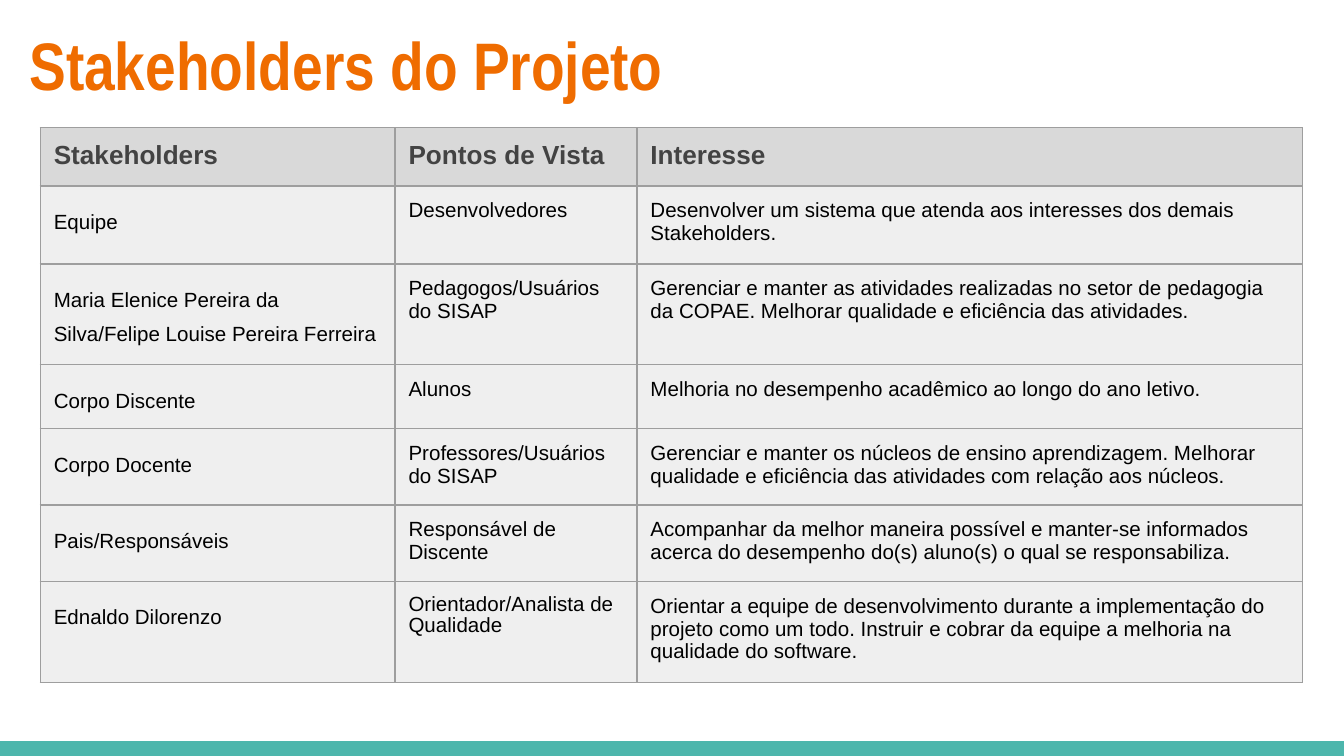
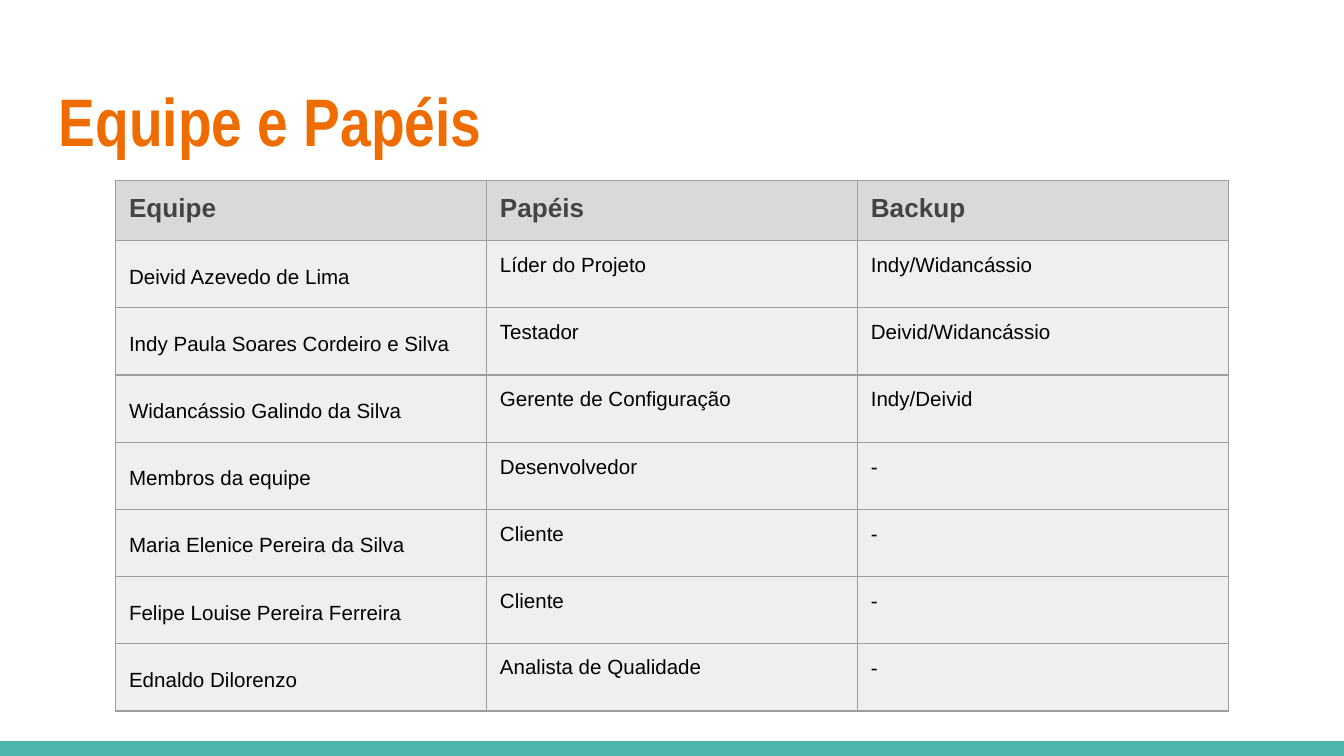
from pptx import Presentation
from pptx.dml.color import RGBColor
from pptx.enum.shapes import MSO_SHAPE
from pptx.enum.text import PP_ALIGN
from pptx.oxml import parse_xml
from pptx.oxml.ns import nsdecls
from pptx.util import Inches, Pt

TEAL = RGBColor(0x4D, 0xB6, 0xAC)
ORANGE = RGBColor(0xEF, 0x6C, 0x00)
DARK = RGBColor(0x43, 0x43, 0x43)
BLACK = RGBColor(0, 0, 0)
HEAD = RGBColor(0xD9, 0xD9, 0xD9)
BODY = RGBColor(0xEF, 0xEF, 0xEF)
RULE = RGBColor(0x9E, 0x9E, 0x9E)

WIDTH = 10
HEIGHT = WIDTH * 9 / 16
BAND = 0.11
INSET = Inches(0.1)
FRAME = Inches(3.28)

SLIDES = [
    {
        "title": "Stakeholders do Projeto",
        "title_at": (0.12, 0.07),
        "table_at": (0.3, 0.95),
        "cols": [2.64, 1.8, 4.95],
        "rows": [0.42, 0.58, 0.71, 0.46, 0.53, 0.46, 0.46],
        "cells": [
            ("Stakeholders", "Pontos de Vista", "Interesse"),
            ("Equipe", "Desenvolvedores",
             "Desenvolver um sistema que atenda aos interesses dos demais "
             "Stakeholders."),
            ("Maria Elenice Pereira da Silva/Felipe Louise Pereira Ferreira",
             "Pedagogos/Usuários do SISAP",
             "Gerenciar e manter as atividades realizadas no setor de "
             "pedagogia da COPAE. Melhorar qualidade e eficiência das "
             "atividades."),
            ("Corpo Discente", "Alunos",
             "Melhoria no desempenho acadêmico ao longo do ano letivo."),
            ("Corpo Docente", "Professores/Usuários do SISAP",
             "Gerenciar e manter os núcleos de ensino aprendizagem. Melhorar "
             "qualidade e eficiência das atividades com relação aos núcleos."),
            ("Pais/Responsáveis", "Responsável de Discente",
             "Acompanhar da melhor maneira possível e manter-se informados "
             "acerca do desempenho do(s) aluno(s) o qual se responsabiliza."),
            ("Ednaldo Dilorenzo", "Orientador/Analista de Qualidade",
             "Orientar a equipe de desenvolvimento durante a implementação do "
             "projeto como um todo. Instruir e cobrar da equipe a melhoria na "
             "qualidade do software."),
        ],
        "justified": {1, 6},
    },
    {
        "title": "Equipe e Papéis",
        "title_at": (0.34, 0.49),
        "table_at": (0.86, 1.34),
        "cols": [2.76] * 3,
        "rows": [0.45] + [0.5] * 7,
        "cells": [
            ("Equipe", "Papéis", "Backup"),
            ("Deivid Azevedo de Lima", "Líder do Projeto", "Indy/Widancássio"),
            ("Indy Paula Soares Cordeiro e Silva", "Testador",
             "Deivid/Widancássio"),
            ("Widancássio Galindo da Silva", "Gerente de Configuração",
             "Indy/Deivid"),
            ("Membros da equipe", "Desenvolvedor", "-"),
            ("Maria Elenice Pereira da Silva", "Cliente", "-"),
            ("Felipe Louise Pereira Ferreira", "Cliente", "-"),
            ("Ednaldo Dilorenzo", "Analista de Qualidade", "-"),
        ],
        "justified": {1, 2, 3, 4, 7},
    },
]


def style(para, name, size, color, bold):
    for run in para.runs:
        font = run.font
        font.name, font.size, font.bold = name, Pt(size), bold
        font.color.rgb = color


def pad(box):
    box.margin_left = box.margin_right = INSET
    box.margin_top = box.margin_bottom = INSET


def add_band(slide):
    band = slide.shapes.add_shape(
        MSO_SHAPE.RECTANGLE, 0, Inches(HEIGHT - BAND),
        Inches(WIDTH), Inches(BAND))
    band.shadow.inherit = False
    band.fill.solid()
    band.fill.fore_color.rgb = TEAL
    band.line.fill.background()


def add_title(slide, text, at):
    left, top = map(Inches, at)
    frame = slide.shapes.add_textbox(
        left, top, Inches(9.32), Inches(0.77)).text_frame
    frame.word_wrap = True
    pad(frame)
    frame.text = text
    style(frame.paragraphs[0], "Arial Narrow", 36, ORANGE, True)


def paint(cell, color):
    """Draw the four borders, then fill the cell."""
    props = cell._tc.get_or_add_tcPr()
    for side in ("lnL", "lnR", "lnT", "lnB"):
        props.append(parse_xml(
            f'<a:{side} {nsdecls("a")} w="{Pt(0.75)}"><a:solidFill>'
            f'<a:srgbClr val="{RULE}"/></a:solidFill></a:{side}>'))
    cell.fill.solid()
    cell.fill.fore_color.rgb = color


def add_grid(slide, data):
    cols, rows = data["cols"], data["rows"]
    left, top = map(Inches, data["table_at"])
    shape = slide.shapes.add_table(
        len(rows), len(cols), left, top, FRAME, FRAME)
    table = shape.table
    for col, width in zip(table.columns, cols):
        col.width = Inches(width)
    for row, height in zip(table.rows, rows):
        row.height = Inches(height)
    # A frame smaller than the grid keeps the rows from being stretched.
    shape.width = shape.height = FRAME
    last = len(rows) - 1
    for r, texts in enumerate(data["cells"]):
        for c, text in enumerate(texts):
            cell = table.cell(r, c)
            pad(cell)
            cell.text_frame.text = text
            para = cell.text_frame.paragraphs[0]
            if r == 0:
                style(para, "Arial", 14, DARK, True)
                paint(cell, HEAD)
                continue
            style(para, "Arial", 11, BLACK, False)
            paint(cell, BODY)
            if c == 0:
                para.line_spacing = 1.5
                if r in data["justified"]:
                    para.alignment = PP_ALIGN.JUSTIFY
            elif c == 1 and r == last:
                para.line_spacing = 0.93


def main():
    deck = Presentation()
    deck.slide_width, deck.slide_height = Inches(WIDTH), Inches(HEIGHT)
    for data in SLIDES:
        slide = deck.slides.add_slide(deck.slide_layouts[6])
        add_band(slide)
        add_title(slide, data["title"], data["title_at"])
        add_grid(slide, data)
    deck.save("out.pptx")


if __name__ == "__main__":
    main()
